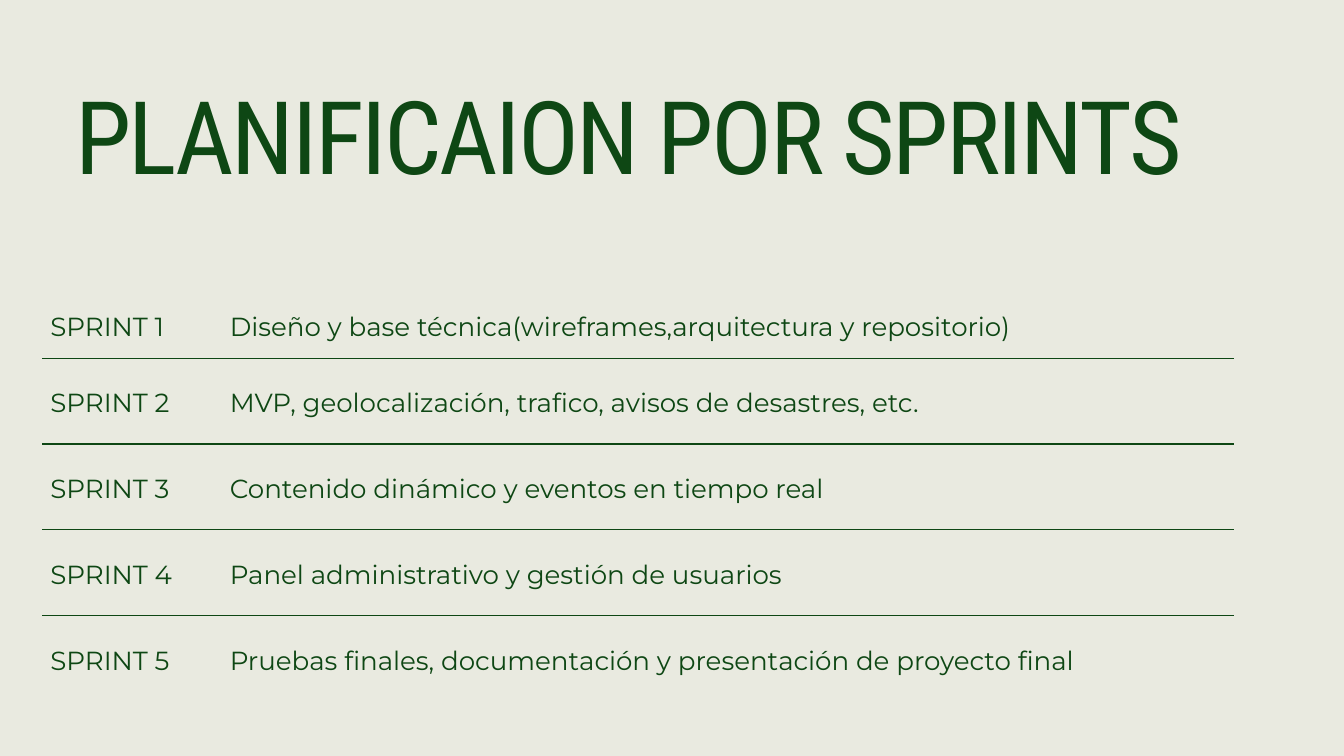
from dataclasses import dataclass

from lxml import etree
from pptx import Presentation
from pptx.dml.color import RGBColor
from pptx.enum.text import MSO_ANCHOR, MSO_AUTO_SIZE
from pptx.oxml.ns import qn
from pptx.util import Inches, Pt

MIDDLE = MSO_ANCHOR.MIDDLE
GROW = MSO_AUTO_SIZE.SHAPE_TO_FIT_TEXT


@dataclass(frozen=True)
class Theme:
    background: str = "E9EAE0"
    ink: str = "0E4714"
    title_font: str = "Roboto Condensed"
    body_font: str = "Montserrat"
    title_size: float = 108.8
    title_leading: float = 94.7
    title_tracking: float = -2.7
    body_size: float = 28
    body_leading: float = 39.2
    rule_width: float = 1.5


THEME = Theme()

SPRINTS = [
    "Diseño y base técnica(wireframes,arquitectura y repositorio)",
    "MVP, geolocalización, trafico, avisos de desastres, etc.",
    "Contenido dinámico y eventos en tiempo real",
    "Panel administrativo y gestión de usuarios",
    "Pruebas finales, documentación y presentación de proyecto final",
]
LABEL_WIDTH = 2.67
FIRST_ROW_HEIGHT = 1
CELL_INSET = Inches(0.12)


def style_paragraph(paragraph, font_name, size, leading):
    paragraph.line_spacing = Pt(leading)
    for run in paragraph.runs:
        run.font.name = font_name
        run.font.size = Pt(size)
        run.font.color.rgb = RGBColor.from_string(THEME.ink)


def set_borders(cell, top, bottom):
    properties = cell._tc.get_or_add_tcPr()
    widths = {"a:lnL": 0, "a:lnR": 0, "a:lnT": top, "a:lnB": bottom}
    for position, (side, width) in enumerate(widths.items()):
        border = etree.Element(qn(side), w=str(Pt(width)))
        if width:
            fill = etree.SubElement(border, qn("a:solidFill"))
            etree.SubElement(fill, qn("a:srgbClr"), val=THEME.ink)
        else:
            etree.SubElement(border, qn("a:noFill"))
        properties.insert(position, border)


def add_title(slide, left, top, width, height):
    title = slide.shapes.add_textbox(
        Inches(left), Inches(top), Inches(width), Inches(height)
    )
    frame = title.text_frame
    frame.word_wrap = True
    frame.auto_size = GROW
    frame.margin_left = frame.margin_right = 0
    frame.margin_top = frame.margin_bottom = 0
    frame.text = "PLANIFICAION POR SPRINTS"
    heading = frame.paragraphs[0]
    style_paragraph(
        heading, THEME.title_font, THEME.title_size, THEME.title_leading
    )
    tracking = round(THEME.title_tracking * 100)
    heading.runs[0].font._element.set("spc", str(tracking))


def fill_cell(cell, text):
    cell.fill.background()
    cell.vertical_anchor = MIDDLE
    cell.margin_left = cell.margin_right = CELL_INSET
    cell.margin_top = cell.margin_bottom = CELL_INSET
    cell.text = text
    style_paragraph(
        cell.text_frame.paragraphs[0],
        THEME.body_font,
        THEME.body_size,
        THEME.body_leading,
    )


def add_sprint_table(slide, left, top, width, height):
    plan = slide.shapes.add_table(
        len(SPRINTS), 2, Inches(left), Inches(top), Inches(width), Inches(height)
    ).table
    plan.first_row = False
    plan.horz_banding = False
    plan.columns[0].width = Inches(LABEL_WIDTH)
    plan.columns[1].width = Inches(width - LABEL_WIDTH)
    last = len(SPRINTS) - 1
    later_height = (height - FIRST_ROW_HEIGHT) / last
    for index, goal in enumerate(SPRINTS):
        plan.rows[index].height = Inches(
            later_height if index else FIRST_ROW_HEIGHT
        )
        for column, text in enumerate((f"SPRINT {index + 1}", goal)):
            cell = plan.cell(index, column)
            fill_cell(cell, text)
            set_borders(
                cell,
                top=THEME.rule_width if index else 0,
                bottom=THEME.rule_width if index < last else 0,
            )


def main():
    presentation = Presentation()
    presentation.slide_width = Inches(20)
    presentation.slide_height = Inches(11.25)
    slide = presentation.slides.add_slide(presentation.slide_layouts[6])
    slide.background.fill.solid()
    slide.background.fill.fore_color.rgb = RGBColor.from_string(THEME.background)
    add_sprint_table(slide, 0.63, 4.33, 17.73, 6.11)
    add_title(slide, 1.12, 1.59, 17.75, 1.67)
    presentation.save("out.pptx")


if __name__ == "__main__":
    main()
